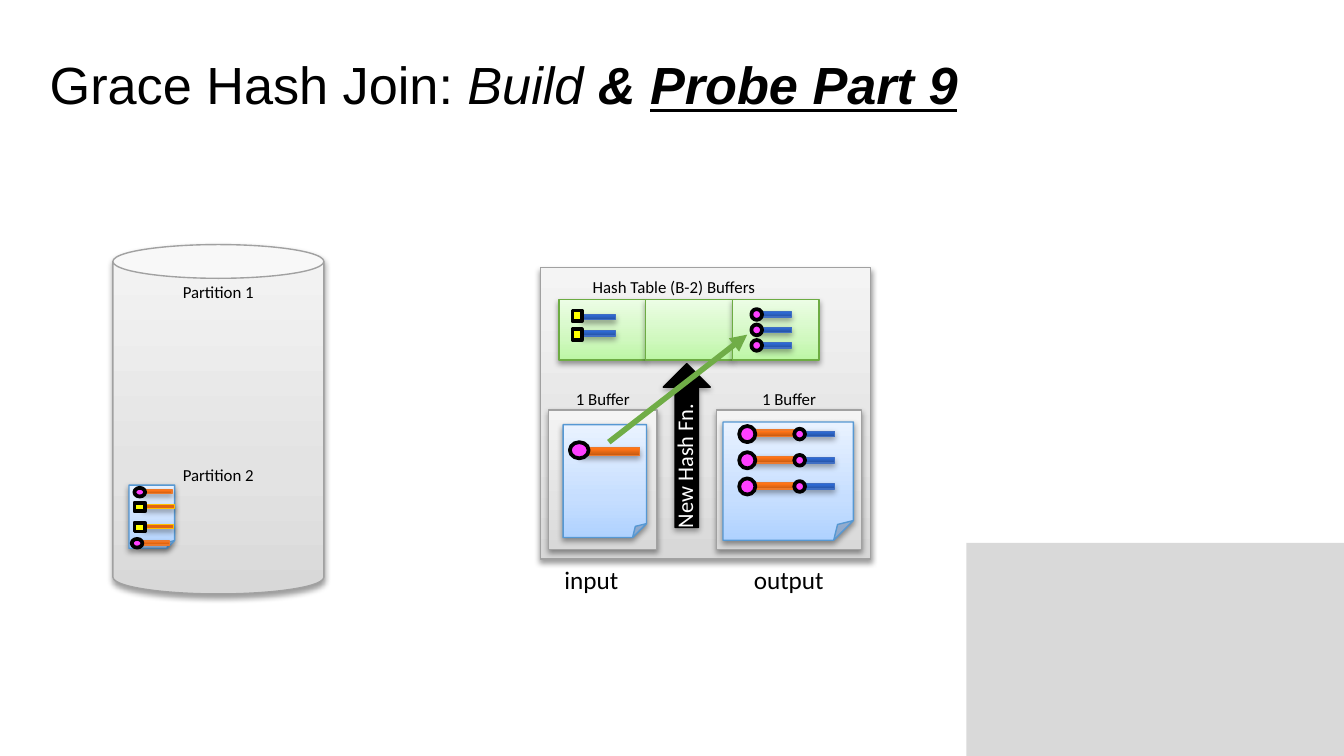
import lxml.etree
import pptx
import pptx.dml.color
import pptx.enum.shapes
import pptx.enum.text
import pptx.oxml.ns
import pptx.util

KIND = pptx.enum.shapes.MSO_SHAPE
ALIGN = pptx.enum.text.PP_ALIGN
qn = pptx.oxml.ns.qn

THEME = {
    "head_font": "Arial", "body_font": "Calibri",
    "title": 28, "caption": 13.5, "hash": 12, "label": 9,
    "ink": "000000", "paper": "FFFFFF", "arrow": "70AD47",
    "corner": ("D9D9D9", None, 0, 0),
    "panel": ([(0, "D8D8D8"), (35, "E3E3E3"), (100, "F4F4F4")], "A1A1A1", 0.75, 38),
    "bucket": ([(0, "BCF6A4"), (35, "D0F8BF"), (100, "ECFDE5")], "6DAC43", 0.75, 38),
    "page": ([(0, "AFD2FF"), (35, "C6DEFF"), (100, "E9F2FF")], "5698D3", 0.75, 38),
    "orange": ([(0, "C3580F"), (80, "FF7416"), (100, "FF7517")], "EC792B", 0.75, 35),
    "amber": ("E16513", "FFC000", 0.75, 35),
    "blue": ([(0, "24509E"), (80, "2F69D0"), (100, "2C69D4")], "3F6EC3", 0.75, 35),
    "pink": ("FF40FF", "000000", 2, 0),
    "yellow": ("FFFF00", "000000", 2, 0),
    "black": ("000000", "000000", 0.75, 35),
}
color = pptx.dml.color.RGBColor.from_string

deck = pptx.Presentation()
deck.slide_width = pptx.util.Inches(10)
deck.slide_height = deck.slide_width * 9 // 16
CELL = deck.slide_width / 100
slide = deck.slides.add_slide(deck.slide_layouts[5])
shapes = slide.shapes


def draw(kind, style, left, top, width, height):
    fill, line, weight, shade = THEME[style]
    shape = shapes.add_shape(kind, *[round(n * CELL) for n in (left, top, width, height)])
    if isinstance(fill, str):
        shape.fill.solid()
        shape.fill.fore_color.rgb = color(fill)
    else:
        shape.fill.gradient()
        shape.fill.gradient_angle = 90
        stops = shape.element.spPr.find(".//" + qn("a:gsLst"))
        for stop in list(stops):
            stops.remove(stop)
        for share, tint in fill:
            stop = lxml.etree.SubElement(stops, qn("a:gs"), pos=str(share * 1000))
            lxml.etree.SubElement(stop, qn("a:srgbClr"), val=tint)
    if line:
        shape.line.color.rgb = color(line)
        shape.line.width = pptx.util.Pt(weight)
    else:
        shape.line.fill.background()
    shape.shadow.inherit = False
    if shade:
        effects = shape.element.spPr.find(qn("a:effectLst"))
        shadow = lxml.etree.SubElement(effects, qn("a:outerShdw"), blurRad="38100",
                                       dist="20320", dir="5400000", rotWithShape="0")
        tint = lxml.etree.SubElement(shadow, qn("a:srgbClr"), val=THEME["ink"])
        lxml.etree.SubElement(tint, qn("a:alpha"), val=str(shade * 1000))
    return shape


def label(text, size, left, top, width, height, wrap=True, align=ALIGN.LEFT, ink="ink", inset=0.5):
    box = shapes.add_textbox(*[round(n * CELL) for n in (left, top, width, height)])
    frame = box.text_frame
    frame.word_wrap = wrap
    frame.auto_size = pptx.enum.text.MSO_AUTO_SIZE.SHAPE_TO_FIT_TEXT
    frame.margin_left = frame.margin_right = round(0.4 * CELL)
    frame.margin_top = frame.margin_bottom = round(inset * CELL)
    para = frame.paragraphs[0]
    para.text = text
    para.alignment = align
    para.font.size = pptx.util.Pt(THEME[size])
    para.font.name = THEME["body_font"]
    para.font.color.rgb = color(THEME[ink])
    return box


draw(KIND.RECTANGLE, "corner", 71.9, 40.4, 28.1, 15.85)

title = shapes.title
title.left, title.top, title.width, title.height = [round(n * CELL) for n in (2.7, 3.4, 82.3, 12.5)]
title.text_frame.vertical_anchor = pptx.enum.text.MSO_ANCHOR.TOP
title.text_frame.margin_top = round(0.5 * CELL)
para = title.text_frame.paragraphs[0]
para.alignment = ALIGN.LEFT
para.font.name = THEME["head_font"]
para.font.size = pptx.util.Pt(THEME["title"])
para.font.color.rgb = color(THEME["ink"])
for text, italic, bold, underline in [
    ("Grace Hash Join: ", False, False, False),
    ("Build", True, False, False),
    (" & ", True, True, False),
    ("Probe Part 9", True, True, True),
]:
    span = para.add_run()
    span.text = text
    span.font.italic, span.font.bold, span.font.underline = italic, bold, underline

draw(KIND.RECTANGLE, "panel", 40.2, 19.9, 24.6, 21.7)
for column in range(3):
    draw(KIND.RECTANGLE, "bucket", 41.6 + 6.45 * column, 22.3, 6.45, 4.5)
for left, width in [(40.8, 8.1), (53.3, 10.8)]:
    draw(KIND.RECTANGLE, "panel", left, 30.5, width, 10.4)
    label("1 Buffer", "label", left, 28.5, width, 2.3, align=ALIGN.CENTER, inset=0.4)
label("input", "caption", 41.6, 41.5, 4.8, 3.3, wrap=False)
label("output", "caption", 55.7, 41.5, 6, 3.3, wrap=False)

disk = draw(KIND.CAN, "panel", 8.4, 18.2, 15.7, 26)
disk.adjustments[0] = 0.16

for left, top, width, height in [(41.9, 31.6, 6.2, 8.4), (9.6, 36.1, 3.4, 4.7), (53.8, 31.4, 9.7, 8.8)]:
    draw(KIND.FOLDED_CORNER, "page", left, top, width, height)

draw(KIND.RECTANGLE, "orange", 43.2, 33.3, 4.4, 0.6)
draw(KIND.OVAL, "pink", 42.4, 32.9, 1.4, 1.2)

for kind, bar, mark, left, top, gap in [
    (KIND.OVAL, "orange", "pink", 10, 36.3, 0.5),
    (KIND.RECTANGLE, "amber", "yellow", 10, 37.4, 0.7),
    (KIND.OVAL, "orange", "pink", 9.8, 40.1, 0.5),
    (KIND.RECTANGLE, "amber", "yellow", 10, 38.9, 0.6),
]:
    draw(KIND.RECTANGLE, bar, left + gap, top + 0.15, 2.3, 0.3)
    draw(kind, mark, left, top, 0.8, 0.65)

for row in range(3):
    top = 31.7 + 1.95 * row
    draw(KIND.RECTANGLE, "orange", 55.7, top + 0.3, 3.6, 0.5)
    draw(KIND.OVAL, "pink", 55, top, 1.2, 1.2)
    draw(KIND.RECTANGLE, "blue", 59.6, top + 0.4, 2.5, 0.4)
    draw(KIND.OVAL, "pink", 59.1, top + 0.2, 0.8, 0.8)

draw(KIND.RIGHT_ARROW, "black", 45, 31.4, 12.2, 3.5).rotation = 270
label("New Hash Fn.", "hash", 44.6, 32, 12.6, 2.8, ink="paper", inset=0.4).rotation = 270

probe = shapes.add_connector(pptx.enum.shapes.MSO_CONNECTOR.STRAIGHT,
                             *[round(n * CELL) for n in (45.3, 32.9, 55.6, 24.9)])
probe.line.color.rgb = color(THEME["arrow"])
probe.line.width = pptx.util.Pt(3)
outline = probe.element.spPr.find(qn("a:ln"))
lxml.etree.SubElement(outline, qn("a:tailEnd"), type="triangle")
lxml.etree.SubElement(probe.element.spPr, qn("a:effectLst"))

label("Hash Table (B-2) Buffers", "label", 43.7, 20.1, 13.1, 2.5, wrap=False)
for row in range(3):
    top = 23 + 1.15 * row
    draw(KIND.RECTANGLE, "blue", 56.4, top + 0.2, 2.5, 0.4)
    draw(KIND.OVAL, "pink", 55.9, top, 0.8, 0.8)
for row in reversed(range(2)):
    draw(KIND.RECTANGLE, "blue", 43.3, 23.4 + 1.2 * row, 2.5, 0.4)
    draw(KIND.RECTANGLE, "yellow", 42.6, 23.1 + 1.4 * row, 0.7, 0.8)

for number, top in [(1, 20.5), (2, 34.1)]:
    label(f"Partition {number}", "label", 13.2, top, 7, 2.5)

deck.save("out.pptx")
